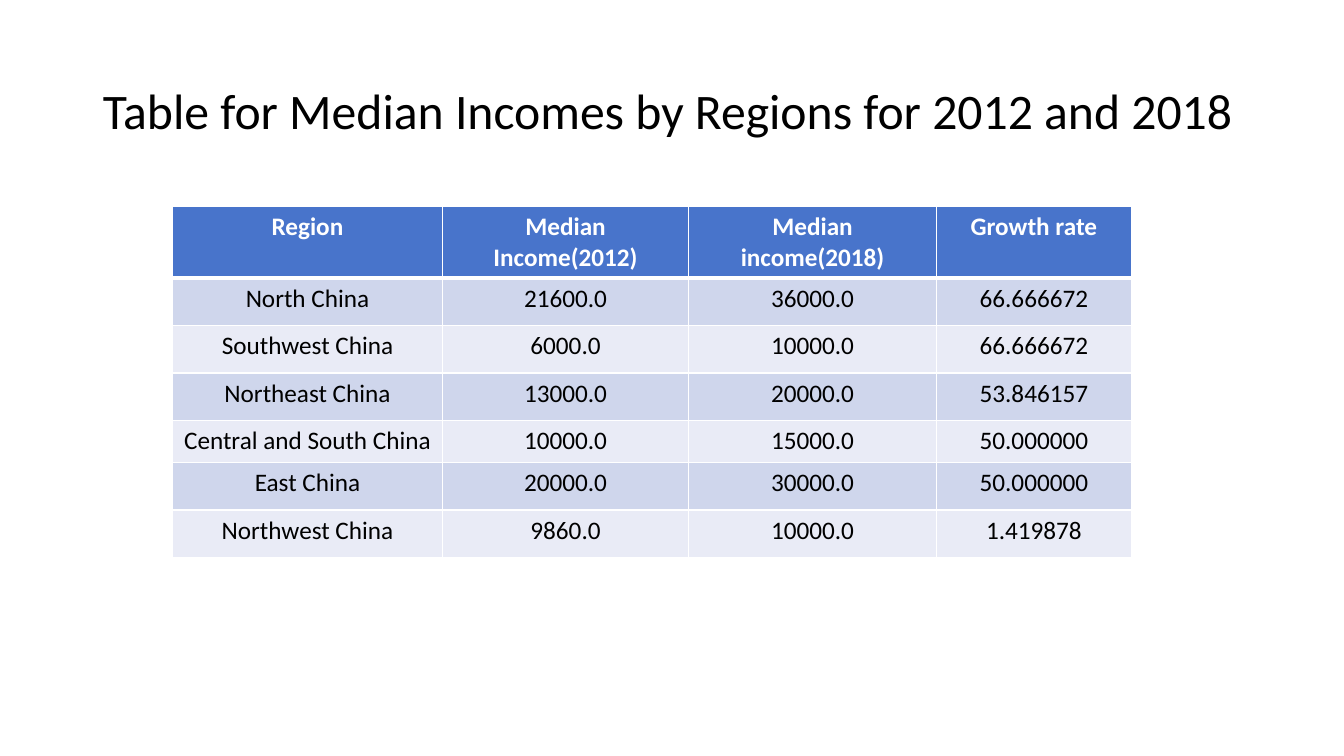
from lxml.etree import SubElement
from pptx import Presentation
from pptx.dml.color import RGBColor
from pptx.enum.text import MSO_ANCHOR, MSO_AUTO_SIZE, PP_ALIGN
from pptx.oxml.ns import qn
from pptx.util import Inches, Pt

COLORS = {
    "black": "000000",
    "white": "FFFFFF",
    "head": "4874CB",
    "odd": "CFD6EC",
    "even": "E9EBF6",
}
WIDTHS = [2.68, 2.44, 2.46, 1.93]
HEIGHTS = [0.47, 0.47, 0.47, 0.47, 0.42, 0.47, 0.47]
INCOMES = [
    ["Region", "Median Income(2012)", "Median income(2018)", "Growth rate"],
    ["North China", "21600.0", "36000.0", "66.666672"],
    ["Southwest China", "6000.0", "10000.0", "66.666672"],
    ["Northeast China", "13000.0", "20000.0", "53.846157"],
    ["Central and South China", "10000.0", "15000.0", "50.000000"],
    ["East China", "20000.0", "30000.0", "50.000000"],
    ["Northwest China", "9860.0", "10000.0", "1.419878"],
]


class Deck:
    face = "Calibri"

    def __init__(self, width, height):
        self.show = Presentation()
        self.show.slide_width = Inches(width)
        self.show.slide_height = Inches(height)
        self.slide = self.show.slides.add_slide(self.show.slide_layouts[5])

    def style(self, para, size, color, align, bold=False):
        para.alignment = align
        font = para.font
        font.name, font.size, font.bold = self.face, Pt(size), bold
        font.color.rgb = RGBColor.from_string(COLORS[color])

    def title(self, text, left, top, width, height):
        box = self.slide.shapes.title
        box.left, box.top = Inches(left), Inches(top)
        box.width, box.height = Inches(width), Inches(height)
        frame = box.text_frame
        frame.text = text
        frame.word_wrap = True
        frame.auto_size = MSO_AUTO_SIZE.NONE
        frame.vertical_anchor = MSO_ANCHOR.MIDDLE
        para = frame.paragraphs[0]
        para.line_spacing = 0.9
        self.style(para, 35.5, "black", PP_ALIGN.LEFT)

    def border(self, cell, side, points):
        props = cell._tc.get_or_add_tcPr()
        line = SubElement(props, qn(f"a:ln{side}"), w=str(Pt(points)))
        fill = SubElement(line, qn("a:solidFill"))
        SubElement(fill, qn("a:srgbClr"), val=COLORS["white"])

    def cell(self, cell, text, row):
        head = row == 0
        for side in "LRTB":
            thick = (head and side == "B") or (row == 1 and side == "T")
            self.border(cell, side, 3 if thick else 1)
        band = "head" if head else "odd" if row % 2 else "even"
        cell.fill.solid()
        cell.fill.fore_color.rgb = RGBColor.from_string(COLORS[band])
        cell.text = text
        color = "white" if head else "black"
        self.style(cell.text_frame.paragraphs[0], 18, color, PP_ALIGN.CENTER, head)

    def table(self, rows, left, top, widths, heights):
        grid = self.slide.shapes.add_table(
            len(rows), len(widths), Inches(left), Inches(top),
            Inches(sum(widths)), Inches(sum(heights)),
        ).table
        for column, width in zip(grid.columns, widths):
            column.width = Inches(width)
        for row, height in zip(grid.rows, heights):
            row.height = Inches(height)
        for r, values in enumerate(rows):
            for c, text in enumerate(values):
                self.cell(grid.cell(r, c), text, r)


deck = Deck(13.33, 7.5)
deck.title("Table for Median Incomes by Regions for 2012 and 2018", 0.92, 0.4, 11.5, 1.45)
deck.table(INCOMES, 1.71, 2.05, WIDTHS, HEIGHTS)
deck.show.save("out.pptx")
